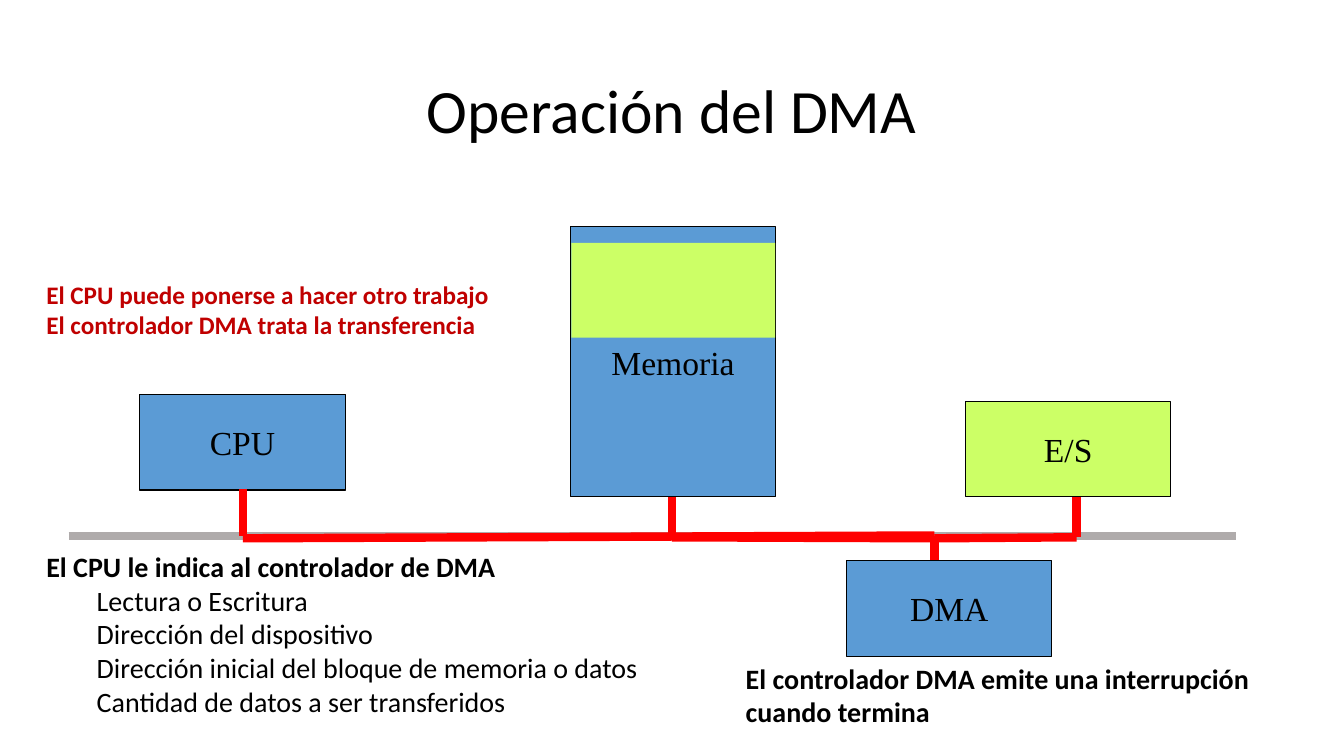
from dataclasses import dataclass
from typing import Optional

from lxml.etree import SubElement
from pptx import Presentation
from pptx.dml.color import RGBColor
from pptx.enum.shapes import MSO_CONNECTOR as CONN, MSO_SHAPE as SHAPE
from pptx.enum.text import MSO_ANCHOR as ANCHOR, PP_ALIGN as ALIGN
from pptx.oxml.ns import qn
from pptx.util import Pt

BLACK = RGBColor(0x00, 0x00, 0x00)
BLUE = RGBColor(0x5B, 0x9B, 0xD5)
LIME = RGBColor(0xCC, 0xFF, 0x66)
GREY = RGBColor(0xAF, 0xAB, 0xAB)
RED = RGBColor(0xFF, 0x00, 0x00)
DARK_RED = RGBColor(0xC0, 0x00, 0x00)

BUS_Y = 383
CPU_X, MEMORY_X, DMA_X, IO_X = 173.5, 480, 667.5, 769


@dataclass
class Block:
    left: float
    top: float
    width: float
    height: float
    fill: RGBColor
    label: str = ""


@dataclass
class Wire:
    x1: float
    y1: float
    x2: float
    y2: float
    color: RGBColor = RED


@dataclass
class Line:
    text: str
    bold: bool = True
    level: int = 0


@dataclass
class Note:
    left: float
    top: float
    width: float
    height: float
    size: float
    color: RGBColor
    lines: list[Line]
    anchor: ANCHOR = ANCHOR.TOP
    align: ALIGN = ALIGN.LEFT
    spacing: Optional[float] = None


BLOCKS = [
    Block(100, 281.5, 146.5, 68.5, BLUE, "CPU"),
    Block(407.5, 162, 146.5, 193, BLUE, "Memoria"),
    Block(689.8, 287, 146.5, 68, LIME, "E/S"),
    Block(604.8, 400.3, 146.5, 68.5, BLUE, "DMA"),
    Block(408.2, 173.5, 145.5, 67.7, LIME),
]

WIRES = [
    Wire(49, BUS_Y, 883, BUS_Y, GREY),
    Wire(CPU_X, 349.5, CPU_X, BUS_Y),
    Wire(CPU_X, 384.5, DMA_X, 382.5),
    Wire(DMA_X, BUS_Y, DMA_X, 400.3),
    Wire(IO_X, 355, IO_X, 383.8),
    Wire(IO_X, 383.8, DMA_X, 384.5),
    Wire(DMA_X, 384.5, MEMORY_X, 383.8),
    Wire(MEMORY_X, 383.8, MEMORY_X, 355),
]

NOTES = [
    Note(66, 28.8, 828, 104.4, 44, BLACK, [Line("Operación del DMA", False)],
         ANCHOR.MIDDLE, ALIGN.CENTER, 0.9),
    Note(26, 389, 455, 152.6, 20, BLACK, [
        Line("El CPU le indica al controlador de DMA"),
        Line("Lectura o Escritura", False, 1),
        Line("Dirección del dispositivo", False, 1),
        Line("Dirección inicial del bloque de memoria o datos", False, 1),
        Line("Cantidad de datos a ser transferidos", False, 1),
    ]),
    Note(26, 196, 335.5, 72.7, 18, DARK_RED, [
        Line("El CPU puede ponerse a hacer otro trabajo"),
        Line("El controlador DMA trata la transferencia"),
    ]),
    Note(525.6, 468.7, 386.6, 56, 20, BLACK, [
        Line("El controlador DMA emite una interrupción cuando termina"),
    ]),
]


def add_run(p, text: str, color: RGBColor, **fmt) -> None:
    r = p.add_run()
    r.text = text
    for name, value in fmt.items():
        setattr(r.font, name, value)
    r.font.color.rgb = color


def draw_block(s, b: Block) -> None:
    sp = s.shapes.add_shape(SHAPE.RECTANGLE, Pt(b.left), Pt(b.top), Pt(b.width), Pt(b.height))
    sp.shadow.inherit = False
    sp.fill.solid()
    sp.fill.fore_color.rgb = b.fill
    if not b.label:
        sp.line.fill.background()
        return
    sp.line.color.rgb = BLACK
    sp.line.width = Pt(0.75)
    tf = sp.text_frame
    tf.word_wrap = False
    tf.vertical_anchor = ANCHOR.MIDDLE
    p = tf.paragraphs[0]
    p.alignment = ALIGN.CENTER
    add_run(p, b.label, BLACK, name="Times New Roman", size=Pt(24))


def draw_wire(s, w: Wire) -> None:
    cn = s.shapes.add_connector(CONN.STRAIGHT, Pt(w.x1), Pt(w.y1), Pt(w.x2), Pt(w.y2))
    cn.line.color.rgb = w.color
    cn.line.width = Pt(6)
    SubElement(cn._element.spPr, qn("a:effectLst"))


def draw_note(s, n: Note) -> None:
    tf = s.shapes.add_textbox(Pt(n.left), Pt(n.top), Pt(n.width), Pt(n.height)).text_frame
    tf.word_wrap = True
    tf.vertical_anchor = n.anchor
    for i, line in enumerate(n.lines):
        p = tf.add_paragraph() if i else tf.paragraphs[0]
        fmt = {"alignment": n.align, "level": line.level, "line_spacing": n.spacing}
        for name, value in fmt.items():
            setattr(p, name, value)
        pPr = p._p.get_or_add_pPr()
        pPr.set("marL", str(Pt(36 * line.level)))
        pPr.set("indent", "0")
        add_run(p, line.text, n.color, name="Calibri", size=Pt(n.size), bold=line.bold)


def main() -> None:
    prs = Presentation()
    prs.slide_width, prs.slide_height = Pt(960), Pt(540)
    s = prs.slides.add_slide(prs.slide_layouts[6])
    for block in BLOCKS:
        draw_block(s, block)
    for wire in WIRES:
        draw_wire(s, wire)
    for note in NOTES:
        draw_note(s, note)
    prs.save("out.pptx")


if __name__ == "__main__":
    main()
